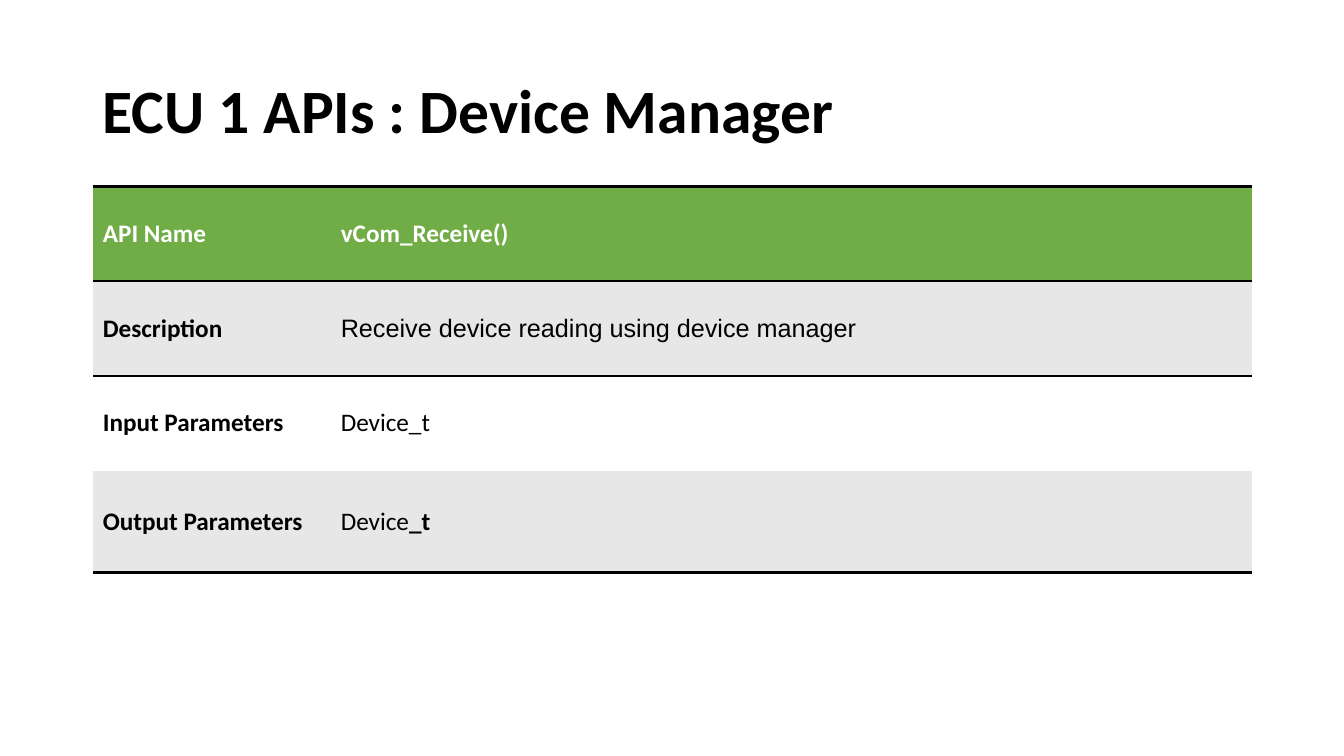
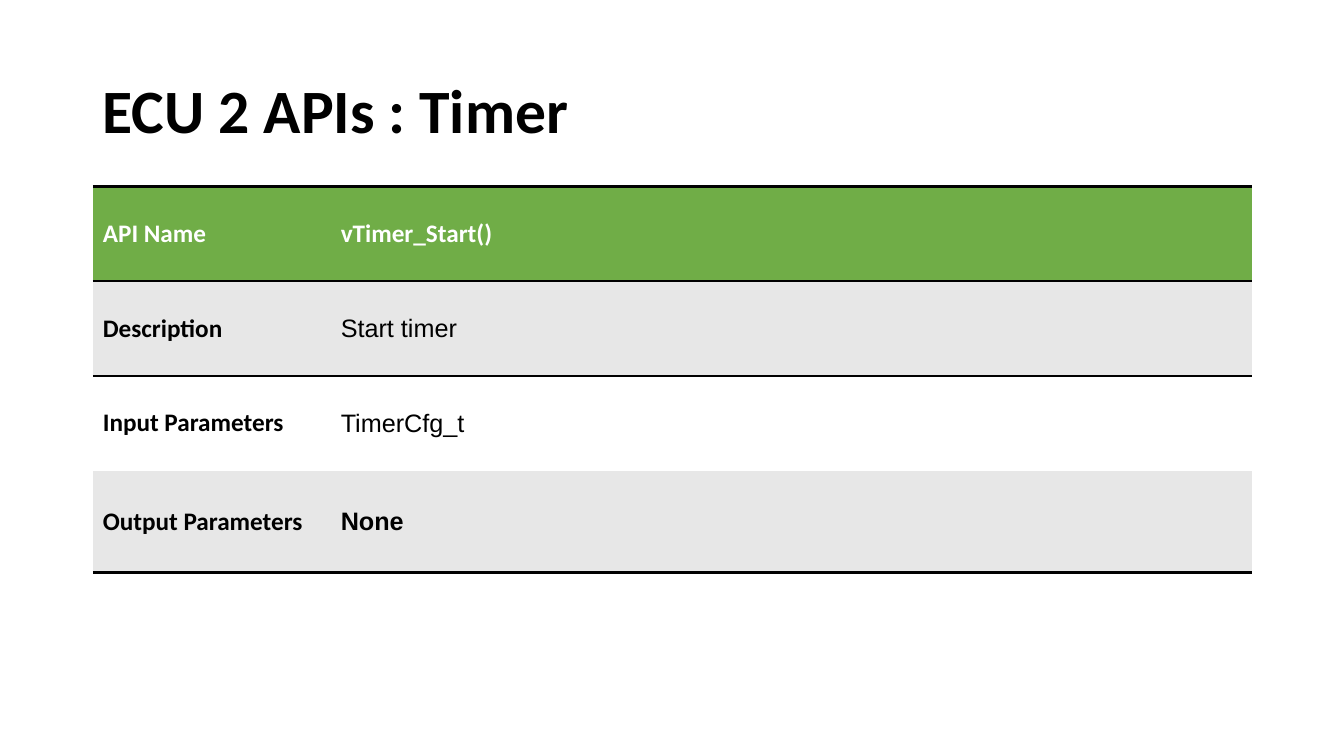
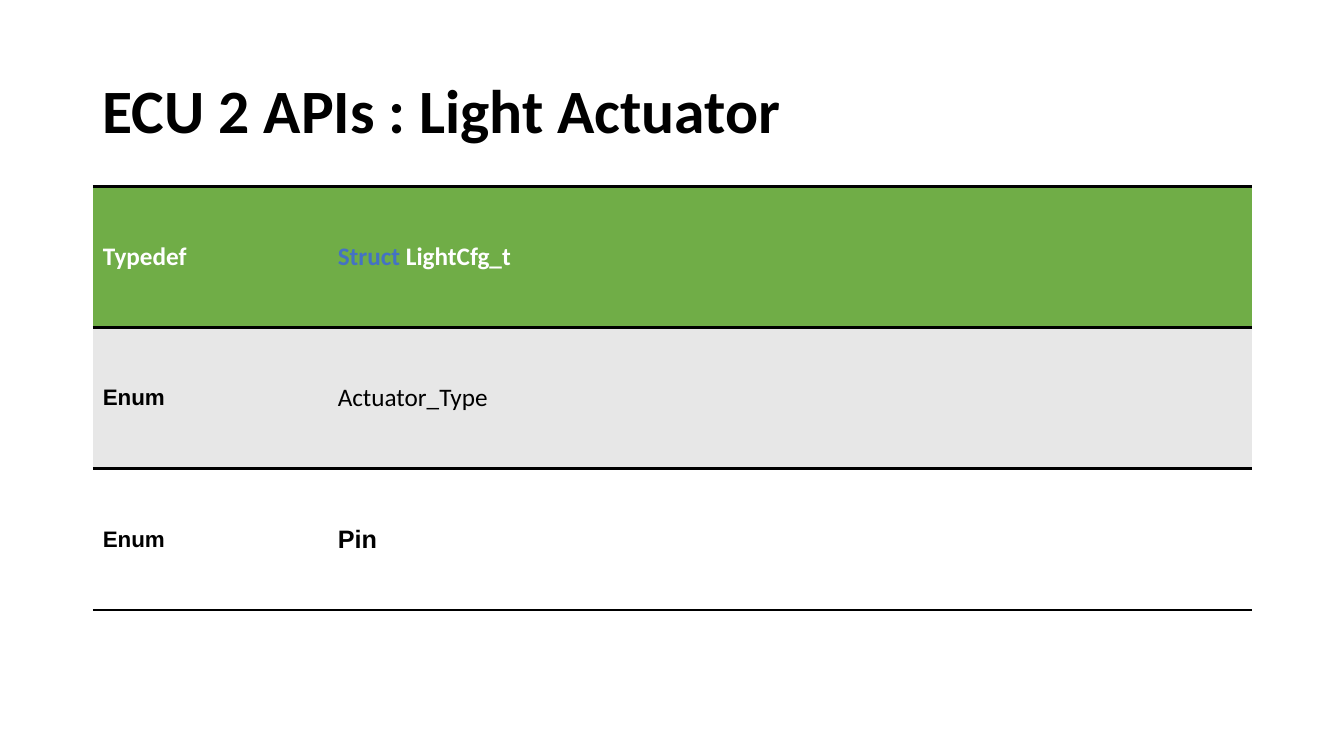
from collections import namedtuple

from lxml.etree import SubElement as Sub
from pptx import Presentation
from pptx.dml.color import RGBColor
from pptx.enum.text import MSO_ANCHOR as Anchor
from pptx.oxml import parse_xml
from pptx.oxml.ns import nsdecls, qn
from pptx.util import Inches, Pt

# Shared style
BLACK = RGBColor(0x00, 0x00, 0x00)
WHITE = RGBColor(0xFF, 0xFF, 0xFF)
GREEN = RGBColor(0x70, 0xAD, 0x47)
GRAY = RGBColor(0xE7, 0xE7, 0xE7)
BLUE = RGBColor(0x44, 0x72, 0xC4)
BODY, ALT = "Calibri", "Arial"
LEFT, WIDTH = 0.92, 11.5
NO_GRID = "{2D5ABB26-0587-4C30-8999-92F81FD0307C}"

# Text of one cell; tail is an optional second run
Text = namedtuple("Text", "words bold font size tail lead",
                  defaults=(False, BODY, 18, "", None))


class Deck:
    def __init__(self):
        self.prs = Presentation()
        self.prs.slide_width = Inches(13.33)
        self.prs.slide_height = Inches(7.5)
        self.slide = None

    def page(self, title):
        """Start a slide with its title."""
        self.slide = self.prs.slides.add_slide(self.prs.slide_layouts[6])
        box = self.slide.shapes.add_textbox(
            Inches(LEFT), Inches(0.4), Inches(WIDTH), Inches(1.45))
        frame = box.text_frame
        frame.word_wrap = True
        frame.vertical_anchor = Anchor.MIDDLE
        para = frame.paragraphs[0]
        para.text = title
        para.line_spacing = 0.9
        self.style(para.font, BODY, 44, True, BLACK)

    def style(self, font, name, size, bold, color):
        font.name, font.size, font.bold = name, Pt(size), bold
        font.color.rgb = color

    def table(self, rows, first, heights):
        """Two columns: a green header row, then gray and white rows."""
        grid = self.slide.shapes.add_table(
            len(rows), 2, Inches(LEFT), Inches(1.85),
            Inches(WIDTH), Inches(sum(heights))).table
        grid.first_row = grid.horz_banding = False
        grid._tbl.tblPr.find(qn("a:tableStyleId")).text = NO_GRID
        for col, wide in zip(grid.columns, (first, WIDTH - first)):
            col.width = Inches(wide)
        last = len(rows) - 1
        for i, (row, high) in enumerate(zip(rows, heights)):
            grid.rows[i].height = Inches(high)
            fill = GREEN if i == 0 else GRAY if i % 2 else WHITE
            sides = {0: "TB", 1: "T", last: "B"}.get(i, "")
            for j, text in enumerate(row):
                cell = grid.cell(i, j)
                self.fill(cell, text, fill, WHITE if i == 0 else BLACK)
                self.rule(cell, sides)

    def fill(self, cell, text, fill, color):
        cell.fill.solid()
        cell.fill.fore_color.rgb = fill
        cell.vertical_anchor = Anchor.MIDDLE
        para = cell.text_frame.paragraphs[0]
        self.style(para.font, text.font, text.size, text.bold, color)
        run = para.add_run()
        run.text = text.words
        if text.lead:
            run.font.color.rgb = text.lead
        if text.tail:
            run = para.add_run()
            run.text = text.tail
            run.font.bold = True

    def rule(self, cell, sides):
        """Black lines on the given sides, T before B."""
        props = cell._tc.get_or_add_tcPr()
        for side in reversed(sides):
            line = parse_xml(f'<a:ln{side} {nsdecls("a")} w="{Pt(2)}"/>')
            paint = Sub(line, qn("a:solidFill"))
            Sub(paint, qn("a:srgbClr"), val=str(BLACK))
            props.insert(0, line)

    def api(self, title, name, about, given, result):
        """A slide that describes one function."""
        self.page(title)
        heads = ("API Name", "Description", "Input Parameters",
                 "Output Parameters")
        cells = (Text(name, True), Text(about, font=ALT), given, result)
        self.table([(Text(head, True), cell)
                    for head, cell in zip(heads, cells)],
                   2.36, [0.94] * 3 + [1.01])


def main():
    deck = Deck()

    # Device manager
    deck.api("ECU 1 APIs : Device Manager", "vCom_Receive()",
             "Receive device reading using device manager",
             Text("Device_t"), Text("Device", tail="_t"))

    # Timer
    deck.api("ECU 2 APIs : Timer", "vTimer_Start()", "Start timer",
             Text("TimerCfg_t", font=ALT), Text("None", True, ALT))

    # Light actuator
    deck.page("ECU 2 APIs : Light Actuator")
    enum = Text("Enum", True, ALT, 16)
    deck.table([
        (Text("Typedef", True),
         Text("Struct ", True, tail="LightCfg_t", lead=BLUE)),
        (enum, Text("Actuator_Type")),
        (enum, Text("Pin", True, ALT)),
    ], 2.33, [1.4] * 3)

    deck.prs.save("out.pptx")


if __name__ == "__main__":
    main()
